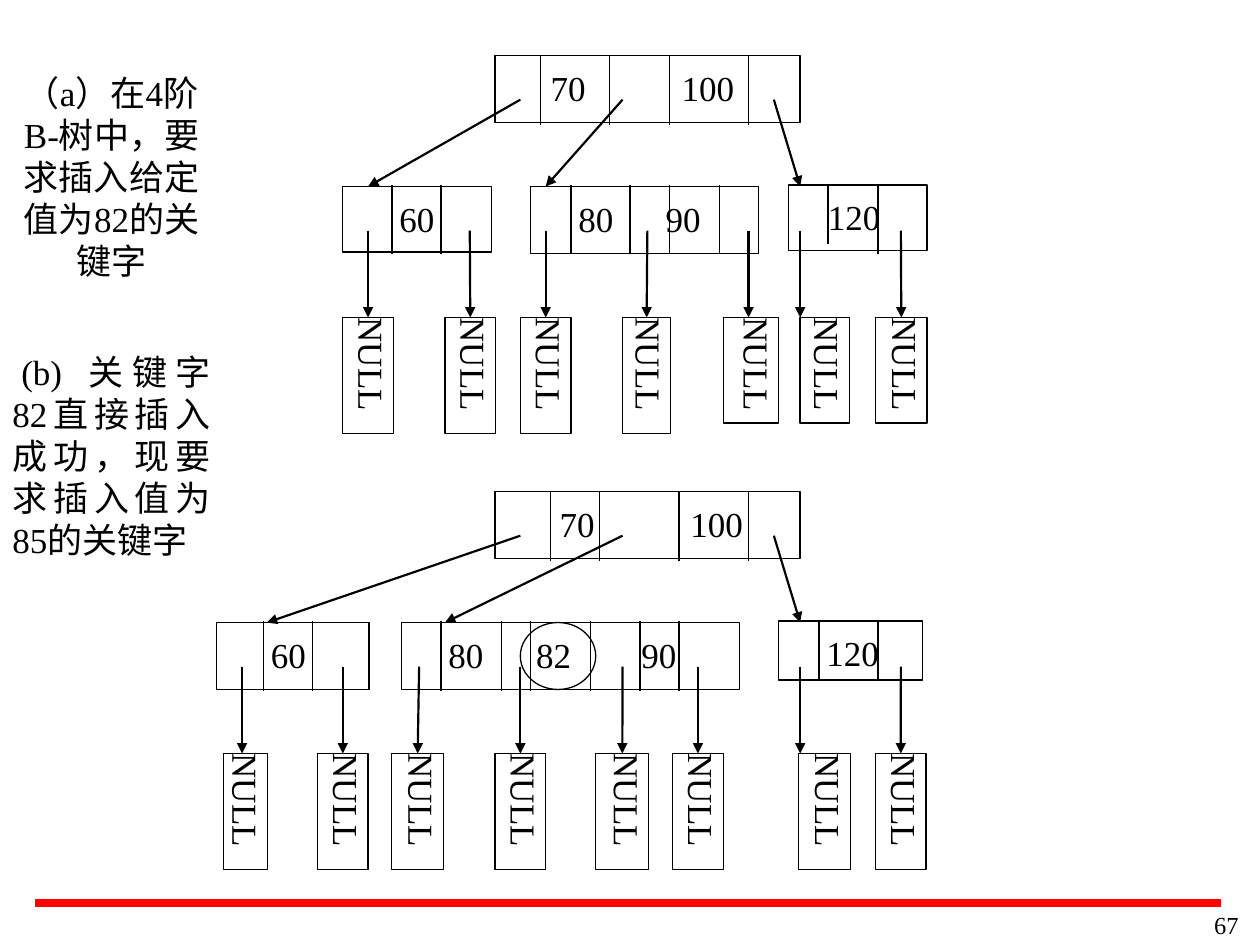
from lxml.etree import SubElement
from pptx import Presentation
from pptx.dml.color import RGBColor
from pptx.enum.shapes import MSO_CONNECTOR, MSO_SHAPE
from pptx.enum.text import MSO_ANCHOR, PP_ALIGN as Align
from pptx.oxml.ns import qn
from pptx.util import Cm, Pt

COLOURS = {"ink": "000000", "paper": "FFFFFF", "rule": "FF0000"}
FONT = "Times New Roman"

presentation = Presentation()
presentation.slide_width, presentation.slide_height = Cm(25.4), Cm(19.05)
slide = presentation.slides.add_slide(presentation.slide_layouts[6])
shapes = slide.shapes


def write_text(shape, text, align, size=20, insets=(0.25, 0.13, 0.25, 0.13), tabs=()):
    frame = shape.text_frame
    frame.word_wrap = True
    frame.vertical_anchor = MSO_ANCHOR.TOP
    (frame.margin_left, frame.margin_top,
     frame.margin_right, frame.margin_bottom) = map(Cm, insets)
    paragraph = frame.paragraphs[0]
    paragraph.text = text
    paragraph.alignment = align
    if tabs:
        tab_list = SubElement(paragraph._p.get_or_add_pPr(), qn("a:tabLst"))
        for position in tabs:
            SubElement(tab_list, qn("a:tab"), pos=str(Cm(position)), algn="l")
    paragraph.font.name, paragraph.font.size = FONT, Pt(size)
    paragraph.font.color.rgb = RGBColor.from_string(COLOURS["ink"])
    return paragraph


def draw_line(x1, y1, x2, y2, width=0.75, colour="ink", arrow=False):
    line = shapes.add_connector(MSO_CONNECTOR.STRAIGHT, Cm(x1), Cm(y1), Cm(x2), Cm(y2))
    line.line.width = Pt(width)
    line.line.color.rgb = RGBColor.from_string(COLOURS[colour])
    if arrow:
        SubElement(line.line._get_or_add_ln(), qn("a:tailEnd"), type="triangle")
    SubElement(line._element.spPr, qn("a:effectLst"))
    return line


# Footer rule and slide number
draw_line(0.71, 18.21, 24.61, 18.21, 4.5, "rule")
write_text(shapes.add_textbox(Cm(23.29), Cm(18.21), Cm(1.93), Cm(0.84)), "67", Align.RIGHT, 14)

# Captions
caption_a = shapes.add_textbox(Cm(0), Cm(1.32), Cm(4.5), Cm(5.99))
write_text(caption_a, "（a）在4阶B-树中，要求插入给定值为82的关键字", Align.CENTER)
caption_b = shapes.add_textbox(Cm(0), Cm(6.93), Cm(4.5), Cm(4.8))
paragraph = write_text(caption_b, "(b) 关键字82直接插入成功，现要求插入值为85的关键字", Align.JUSTIFY)
paragraph._p.get_or_add_pPr().set("indent", str(Cm(0.18)))

# Trees in cm, heights measured from the first tree
# node: left, top, width, height, {key: x}, long dividers, short dividers
# leaf: left, width, height, arrow x
trees = [
    {"offset": 0,
     "nodes": [
         (9.98, 1.12, 6.15, 1.35, {"70": 11.1, "100": 13.74}, [10.9, 12.29, 13.49, 15.09], []),
         (6.91, 3.76, 3, 1.32, {"60": 8.05}, [7.9, 8.89], []),
         (10.69, 3.76, 4.6, 1.35, {"80": 11.66, "90": 13.42}, [11.51, 12.7, 13.49, 14.5], []),
         (15.9, 3.73, 2.79, 1.32, {"120": 16.69}, [17.7], [16.69])],
     "children": [7.42, 11, 16.13],
     "leaves": [
         (6.91, 1.02, 2.34, 7.42), (8.97, 1.02, 2.34, 9.47), (10.49, 1.02, 2.34, 11),
         (12.55, 0.97, 2.34, 13.05), (14.58, 1.12, 2.13, 15.09),
         (16.13, 0.99, 2.13, 16.13), (17.65, 1.04, 2.13, 18.16)]},
    {"offset": 8.79,
     "nodes": [
         (9.98, 1.12, 6.15, 1.35, {"70": 11.28, "100": 13.92}, [11.1, 12.09, 13.69, 15.09], []),
         (4.37, 3.76, 3.07, 1.35, {"60": 5.46}, [5.31, 6.3], []),
         (8.1, 3.76, 6.81, 1.35, {"80": 9.04, "82": 10.81, "90": 12.93},
          [8.89, 10.11, 10.69, 11.91, 12.9, 13.69], []),
         (15.7, 3.73, 2.9, 1.19, {"120": 16.66}, [], [16.51, 17.7])],
     "children": [5.38, 8.97, 16.13],
     "leaves": [
         (4.5, 0.89, 2.34, 4.88), (6.4, 1.02, 2.34, 6.91), (7.9, 1.04, 2.34, 8.45),
         (9.98, 1.02, 2.34, 10.49), (12.01, 1.07, 2.34, 12.55), (13.56, 1.02, 2.34, 14.07),
         (16.1, 1.04, 2.34, 16.13), (17.65, 1.02, 2.34, 18.16)]},
]

for tree in trees:
    offset = tree["offset"]

    # Nodes with their keys and dividers
    for left, top, width, height, keys, long_dividers, short_dividers in tree["nodes"]:
        node = shapes.add_shape(MSO_SHAPE.RECTANGLE, Cm(left), Cm(top + offset),
                                Cm(width), Cm(height))
        node.shadow.inherit = False
        node.fill.background()
        node.line.width = Pt(0.75)
        node.line.color.rgb = RGBColor.from_string(COLOURS["ink"])
        write_text(node, "".join("\t" + key for key in keys), Align.LEFT,
                   insets=(0.25, 0.22, 0.25, 0.13),
                   tabs=[x - left - 0.25 for x in keys.values()])
        divider_top = offset + (1.12 if top < 2 else 3.73)
        for length, dividers in ((1.4, long_dividers), (1.19, short_dividers)):
            for x in dividers:
                draw_line(x, divider_top, x, divider_top + length)

    # Arrows from the root to its children
    for start, end in zip([10.49, 12.55, 15.6], tree["children"]):
        draw_line(start, 2.01 + offset, end, 3.76 + offset, 1.25, arrow=True)

    # NULL leaves and the arrows to them
    for left, width, height, x in tree["leaves"]:
        leaf = shapes.add_shape(MSO_SHAPE.RECTANGLE, Cm(left), Cm(6.4 + offset),
                                Cm(width), Cm(height))
        leaf.shadow.inherit = False
        leaf.fill.solid()
        leaf.fill.fore_color.rgb = RGBColor.from_string(COLOURS["paper"])
        leaf.line.width = Pt(0.75)
        leaf.line.color.rgb = RGBColor.from_string(COLOURS["ink"])
        write_text(leaf, "NULL", Align.CENTER, insets=(0, 0, 0, 0))
        leaf.text_frame._txBody.bodyPr.set("vert", "eaVert")
        arrow = draw_line(x, 4.65 + offset, x, 6.4 + offset, 1.25, arrow=True)
        if abs(left + width / 2 - x) < 0.04:
            arrow.end_connect(leaf, 0)

# Ring around the inserted key
ring = shapes.add_shape(MSO_SHAPE.OVAL, Cm(10.49), Cm(12.55), Cm(1.52), Cm(1.35))
ring.shadow.inherit = False
ring.fill.background()
ring.line.width = Pt(0.75)
ring.line.color.rgb = RGBColor.from_string(COLOURS["ink"])

presentation.save("out.pptx")
